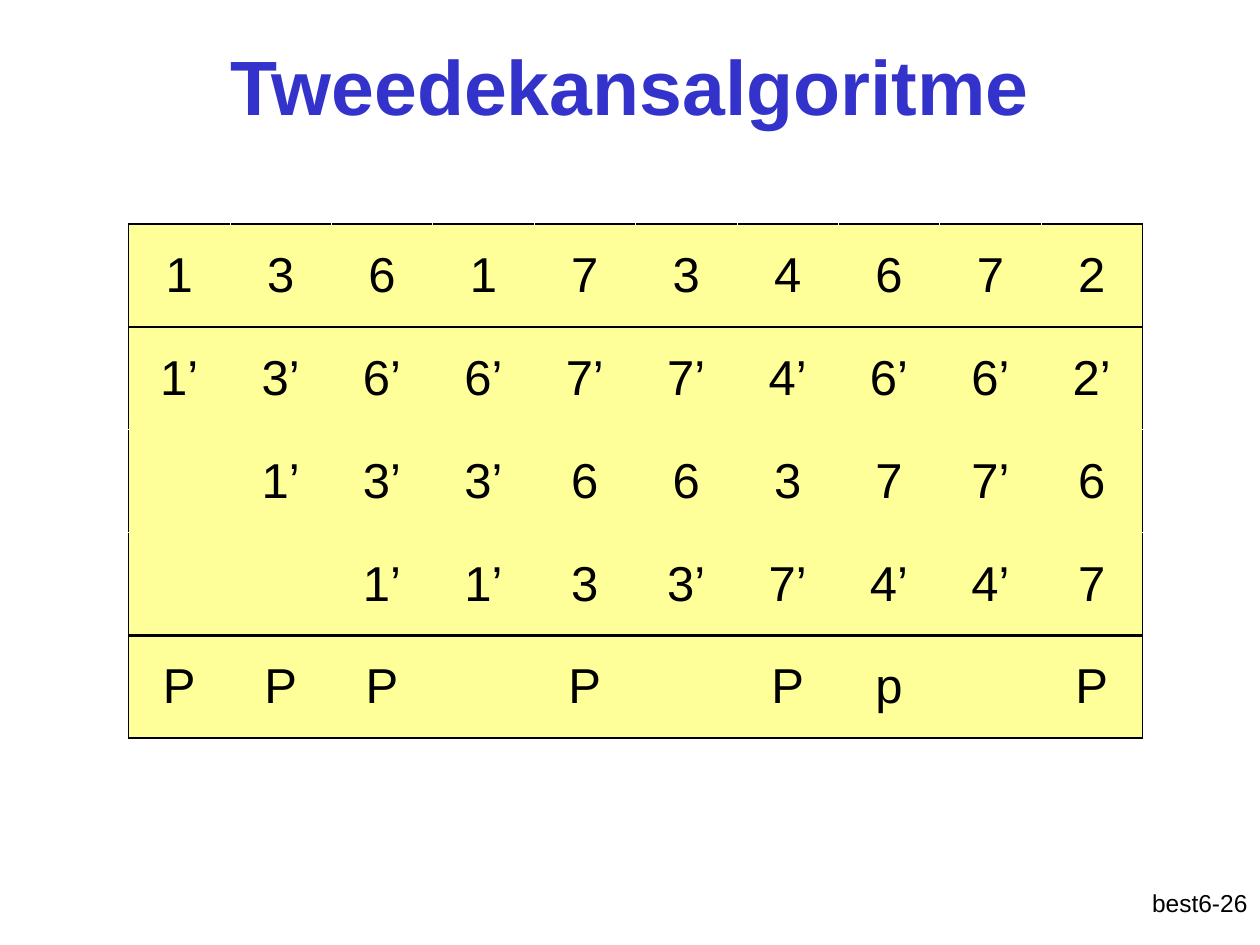
import lxml.etree
import pptx
import pptx.dml.color
import pptx.enum.text
import pptx.oxml.ns
import pptx.util
from pptx.util import Inches

BLACK = pptx.dml.color.RGBColor(0x00, 0x00, 0x00)
BLUE = pptx.dml.color.RGBColor(0x33, 0x33, 0xCC)
YELLOW = pptx.dml.color.RGBColor(0xFF, 0xFF, 0x99)
ALIGN = pptx.enum.text.PP_ALIGN
MIDDLE = pptx.enum.text.MSO_ANCHOR.MIDDLE

INNER = (YELLOW, 0.45)
OUTER = (BLACK, 1.08)
DIVIDER = (BLACK, 1.47)

ROWS = [
    ["1", "3", "6", "1", "7", "3", "4", "6", "7", "2"],
    ["1’", "3’", "6’", "6’", "7’", "7’", "4’", "6’", "6’", "2’"],
    ["", "1’", "3’", "3’", "6", "6", "3", "7", "7’", "6"],
    ["", "", "1’", "1’", "3", "3’", "7’", "4’", "4’", "7"],
    ["P", "P", "P", "", "P", "", "P", "p", "", "P"],
]
ROW_LINES = [OUTER, DIVIDER, INNER, INNER, DIVIDER, OUTER]


def write_text(frame, text, size, color, align, bold=False):
    frame.text = text
    para = frame.paragraphs[0]
    para.alignment = align
    for span in para.runs:
        span.font.name = "Arial"
        span.font.size = pptx.util.Pt(size)
        span.font.bold = bold
        span.font.color.rgb = color


def add_text(page, place, text, size, color, align, bold=False, anchor=None):
    box = page.shapes.add_textbox(*map(Inches, place))
    box.text_frame.word_wrap = True
    box.text_frame.vertical_anchor = anchor
    write_text(box.text_frame, text, size, color, align, bold)


def add_border(cell, side, style):
    color, width = style
    qn = pptx.oxml.ns.qn
    properties = cell._tc.get_or_add_tcPr()
    line = lxml.etree.SubElement(properties, qn("a:ln" + side), w=str(pptx.util.Pt(width)))
    fill = lxml.etree.SubElement(line, qn("a:solidFill"))
    lxml.etree.SubElement(fill, qn("a:srgbClr"), val=str(color))


def add_page_table(page):
    row_count, column_count = len(ROWS), len(ROWS[0])
    frame = page.shapes.add_table(
        row_count, column_count, Inches(1.02), Inches(1.78), Inches(8.05), Inches(4.08)
    )
    table = frame.table
    table.first_row = False
    table.horz_banding = False
    column_lines = [OUTER] + [INNER] * (column_count - 1) + [OUTER]
    for row, values in enumerate(ROWS):
        for column, value in enumerate(values):
            cell = table.cell(row, column)
            add_border(cell, "L", column_lines[column])
            add_border(cell, "R", column_lines[column + 1])
            add_border(cell, "T", ROW_LINES[row])
            add_border(cell, "B", ROW_LINES[row + 1])
            cell.fill.solid()
            cell.fill.fore_color.rgb = YELLOW
            cell.vertical_anchor = MIDDLE
            write_text(cell.text_frame, value, 28, BLACK, ALIGN.CENTER)


def main():
    deck = pptx.Presentation()
    deck.slide_width = Inches(10)
    deck.slide_height = Inches(7.5)
    page = deck.slides.add_slide(deck.slide_layouts[6])
    add_text(page, (7.92, 7, 2.08, 0.5), "best6-26", 14, BLACK, ALIGN.RIGHT)
    add_page_table(page)
    add_text(page, (0.75, 0.05, 8.5, 1.25), "Tweedekansalgoritme", 44, BLUE,
             ALIGN.CENTER, bold=True, anchor=MIDDLE)
    deck.save("out.pptx")


if __name__ == "__main__":
    main()
